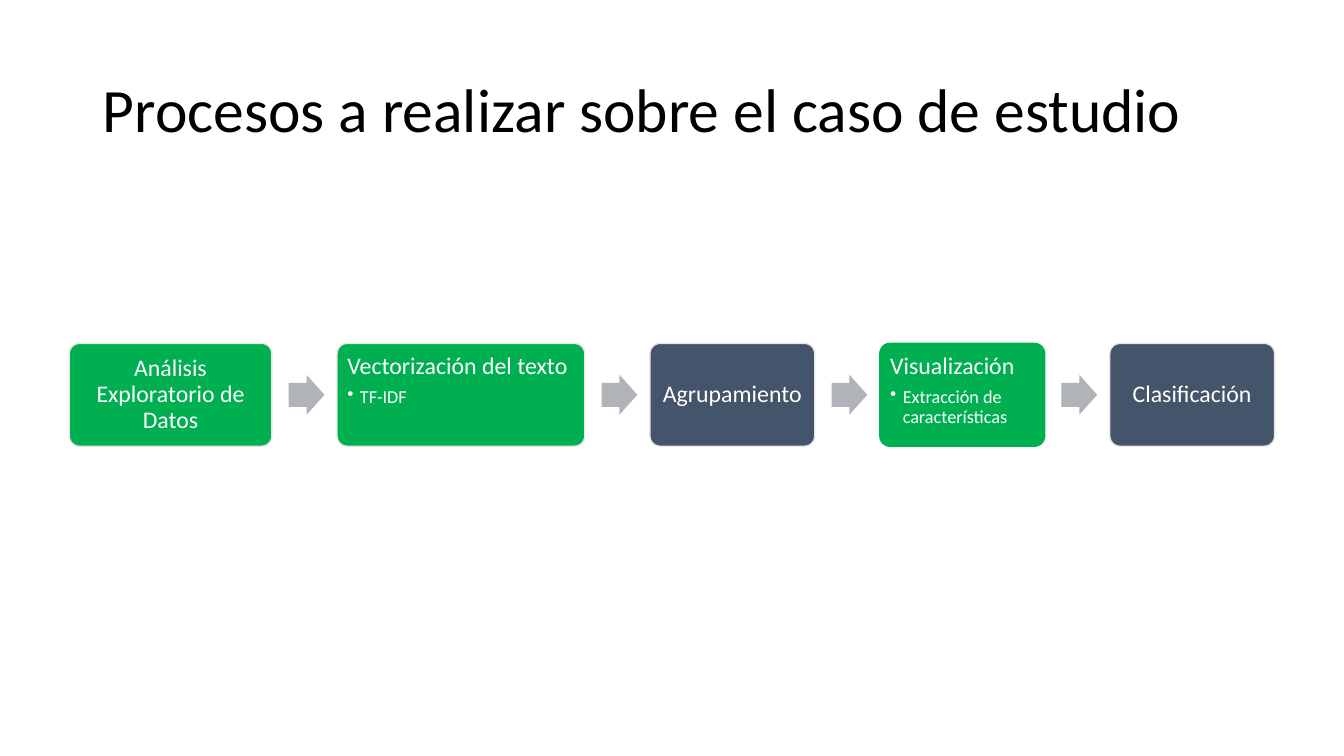
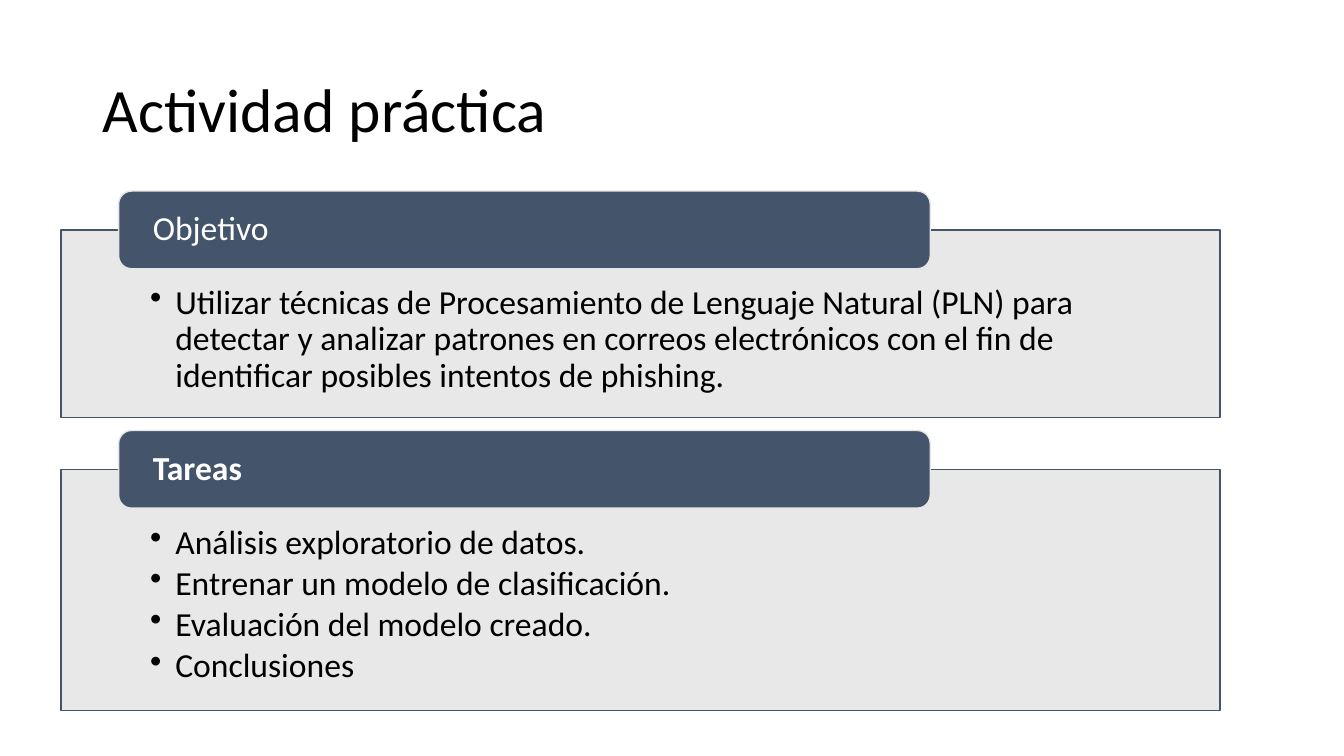
import dataclasses

import lxml.etree
import pptx
import pptx.dml.color
import pptx.enum.shapes
import pptx.enum.text
import pptx.oxml.ns
import pptx.util

PX = 9525
SHAPE = pptx.enum.shapes.MSO_SHAPE
ANCHOR = pptx.enum.text.MSO_ANCHOR
ALIGN = pptx.enum.text.PP_ALIGN


@dataclasses.dataclass(frozen=True)
class Theme:
    font: str = "Calibri"
    ink: str = "000000"
    white: str = "FFFFFF"
    green: str = "00B050"
    slate: str = "44546A"
    pale: str = "E7E6E6"
    arrow: str = "B0B4B9"
    title_size: int = 44
    body_size: int = 24
    step_size: int = 17
    detail_size: int = 13


theme = Theme()


def add_block(slide, preset, box, fill, line=None):
    block = slide.shapes.add_shape(preset, *[length * PX for length in box])
    block.shadow.inherit = False
    block.fill.solid()
    block.fill.fore_color.rgb = pptx.dml.color.RGBColor.from_string(fill)
    if line:
        block.line.color.rgb = pptx.dml.color.RGBColor.from_string(line)
        block.line.width = pptx.util.Pt(1)
    else:
        block.line.fill.background()
    return block


def write(shape, lines, color, insets, anchor=ANCHOR.MIDDLE, align=ALIGN.LEFT):
    frame = shape.text_frame
    frame.word_wrap = True
    frame.vertical_anchor = anchor
    frame.margin_left, frame.margin_top, frame.margin_right, frame.margin_bottom = [
        inset * PX for inset in insets
    ]
    frame.text = "\n".join(text for text, size, bold, indent in lines)
    for paragraph, (text, size, bold, indent) in zip(frame.paragraphs, lines):
        paragraph.alignment = align
        paragraph.line_spacing = 0.9
        paragraph.space_after = pptx.util.Pt(size * (0.15 if indent else 0.35))
        if indent:
            properties = paragraph._p.get_or_add_pPr()
            properties.set("marL", str(indent * PX))
            properties.set("indent", str(-indent * PX))
            bullet = lxml.etree.SubElement(properties, pptx.oxml.ns.qn("a:buChar"))
            bullet.set("char", "•")
        font = paragraph.runs[0].font
        font.name = theme.font
        font.size = pptx.util.Pt(size)
        font.bold = bold
        font.color.rgb = pptx.dml.color.RGBColor.from_string(color)


deck = pptx.Presentation()
deck.slide_width = 1280 * PX
deck.slide_height = 720 * PX

slides = []
for heading in ("Procesos a realizar sobre el caso de estudio", "Actividad práctica"):
    slide = deck.slides.add_slide(deck.slide_layouts[6])
    title = slide.shapes.add_textbox(88 * PX, 38 * PX, 1104 * PX, 139 * PX)
    write(title, [(heading, theme.title_size, False, 0)], theme.ink, (10, 5, 10, 5))
    slides.append(slide)
process_slide, activity_slide = slides

steps = [
    ("Análisis Exploratorio de Datos", None, 193, theme.green, theme.pale),
    ("Vectorización del texto", "TF-IDF", 236, theme.green, theme.pale),
    ("Agrupamiento", None, 157, theme.slate, theme.pale),
    ("Visualización", "Extracción de características", 157, theme.green, theme.green),
    ("Clasificación", None, 157, theme.slate, theme.pale),
]
step_top, step_height, step_gap = 327, 98, 62
arrow_width, arrow_height, arrow_offset = 34, 38, 16
left = 66
for index, (name, detail, width, fill, outline) in enumerate(steps):
    if index:
        arrow_box = (
            left - step_gap + arrow_offset,
            step_top + (step_height - arrow_height) // 2,
            arrow_width,
            arrow_height,
        )
        arrow = add_block(process_slide, SHAPE.RIGHT_ARROW, arrow_box, theme.arrow)
        arrow.adjustments[0] = 0.6
    step = add_block(
        process_slide, SHAPE.ROUNDED_RECTANGLE,
        (left, step_top, width, step_height), fill, outline,
    )
    step.adjustments[0] = 0.1
    lines = [(name, theme.step_size, False, 0)]
    if detail:
        lines.append((detail, theme.detail_size, False, 12))
    write(
        step, lines, theme.white, (7, 7, 7, 7),
        ANCHOR.TOP if detail else ANCHOR.MIDDLE,
        ALIGN.LEFT if detail else ALIGN.CENTER,
    )
    left += width + step_gap

sections = [
    ("Objetivo", False, 179, [
        "Utilizar técnicas de Procesamiento de Lenguaje Natural (PLN) para detectar y "
        "analizar patrones en correos electrónicos con el fin de identificar posibles "
        "intentos de phishing.",
    ]),
    ("Tareas", True, 230, [
        "Análisis exploratorio de datos.",
        "Entrenar un modelo de clasificación.",
        "Evaluación del modelo creado.",
        "Conclusiones",
    ]),
]
panel_gap, tab_height = 49, 74
top = 219
for name, bold, height, points in sections:
    panel = add_block(
        activity_slide, SHAPE.RECTANGLE, (58, top, 1104, height), theme.pale, theme.slate
    )
    panel_color = panel.fill._xPr.find(".//" + pptx.oxml.ns.qn("a:srgbClr"))
    lxml.etree.SubElement(panel_color, pptx.oxml.ns.qn("a:alpha")).set("val", "90000")
    write(
        panel, [(point, theme.body_size, False, 24) for point in points],
        theme.ink, (85, 53, 85, 18), ANCHOR.TOP,
    )
    tab = add_block(
        activity_slide, SHAPE.ROUNDED_RECTANGLE,
        (113, top - tab_height // 2, 773, tab_height), theme.slate, theme.pale,
    )
    write(tab, [(name, theme.body_size, bold, 0)], theme.white, (29, 0, 29, 0))
    top += height + panel_gap

deck.save("out.pptx")
